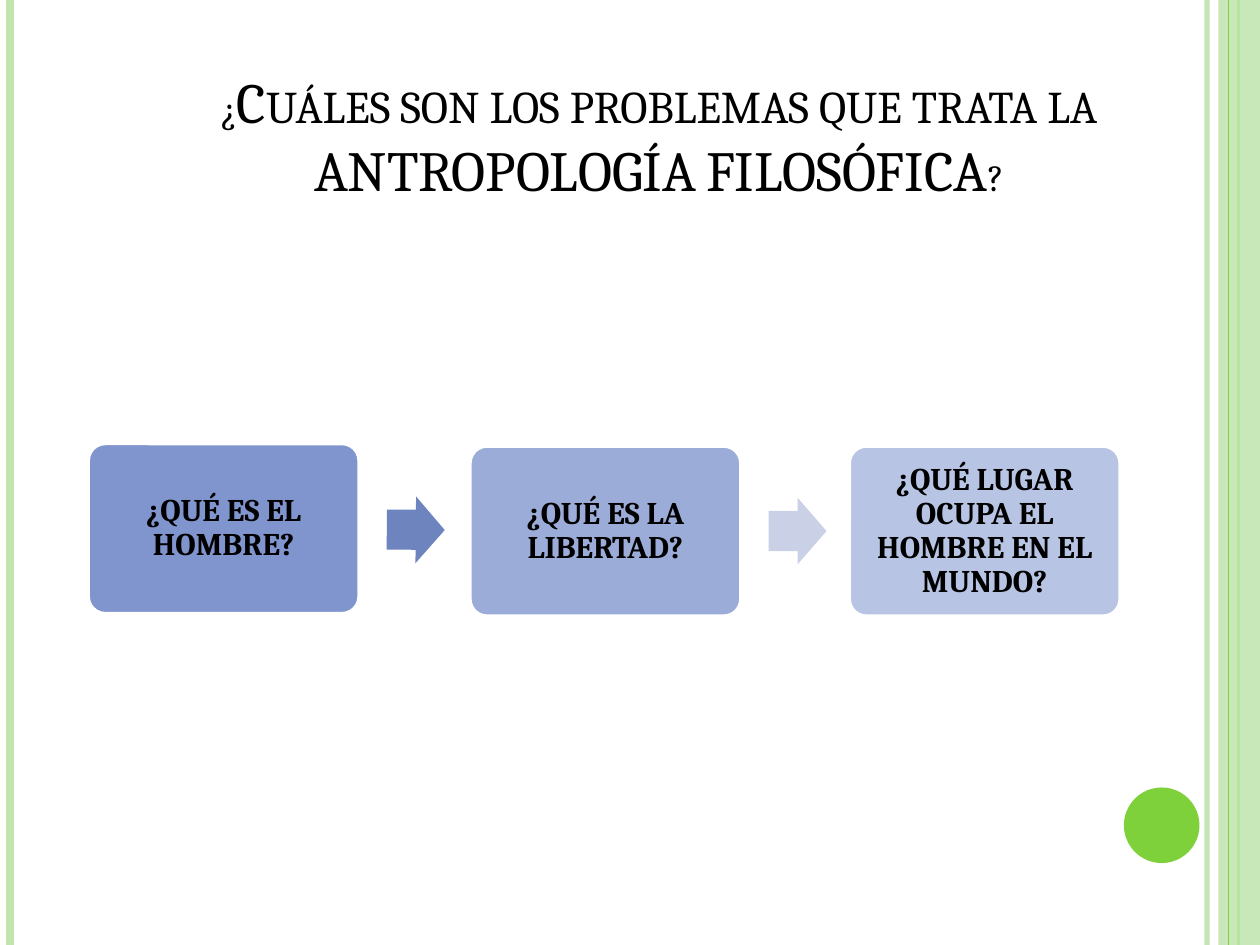
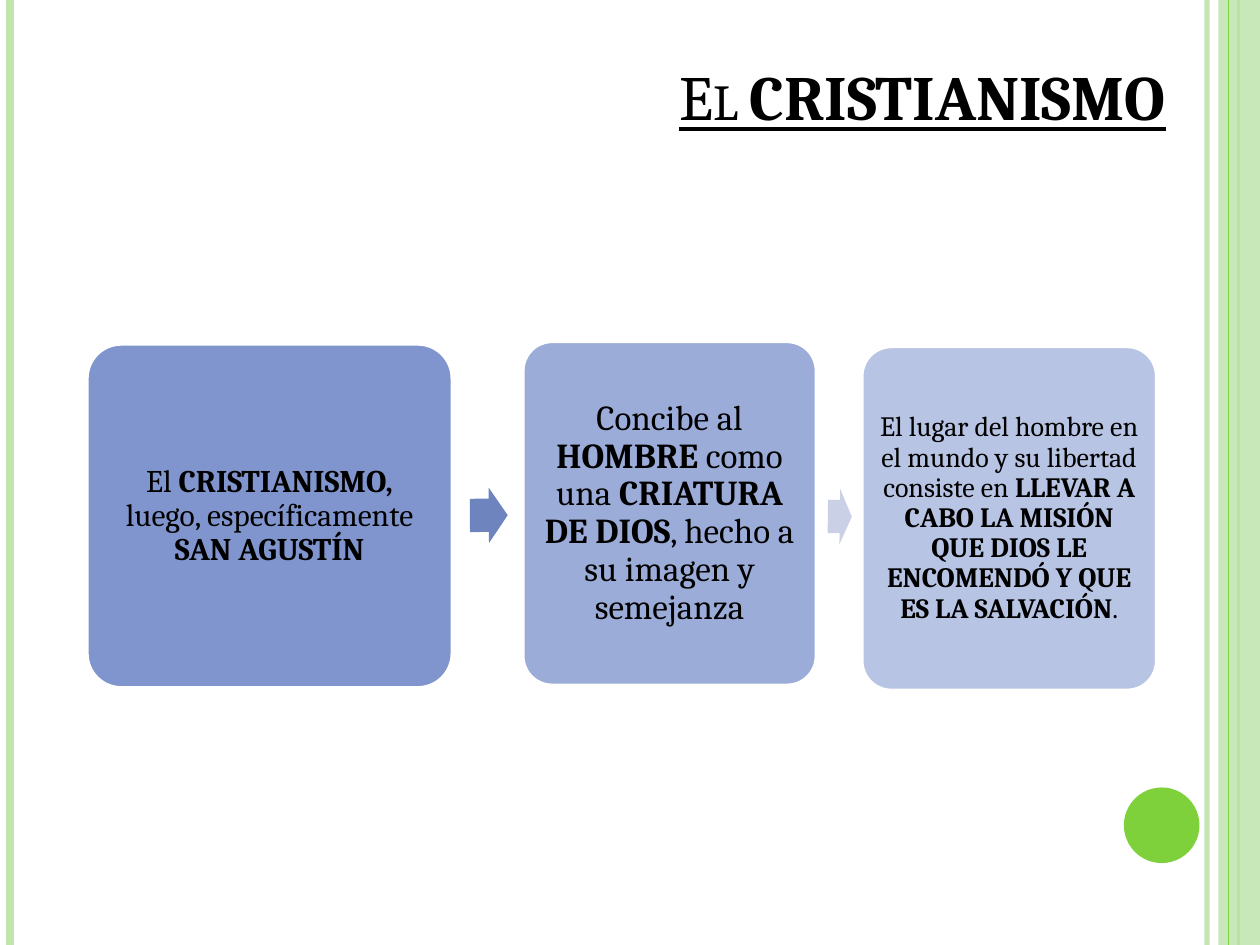
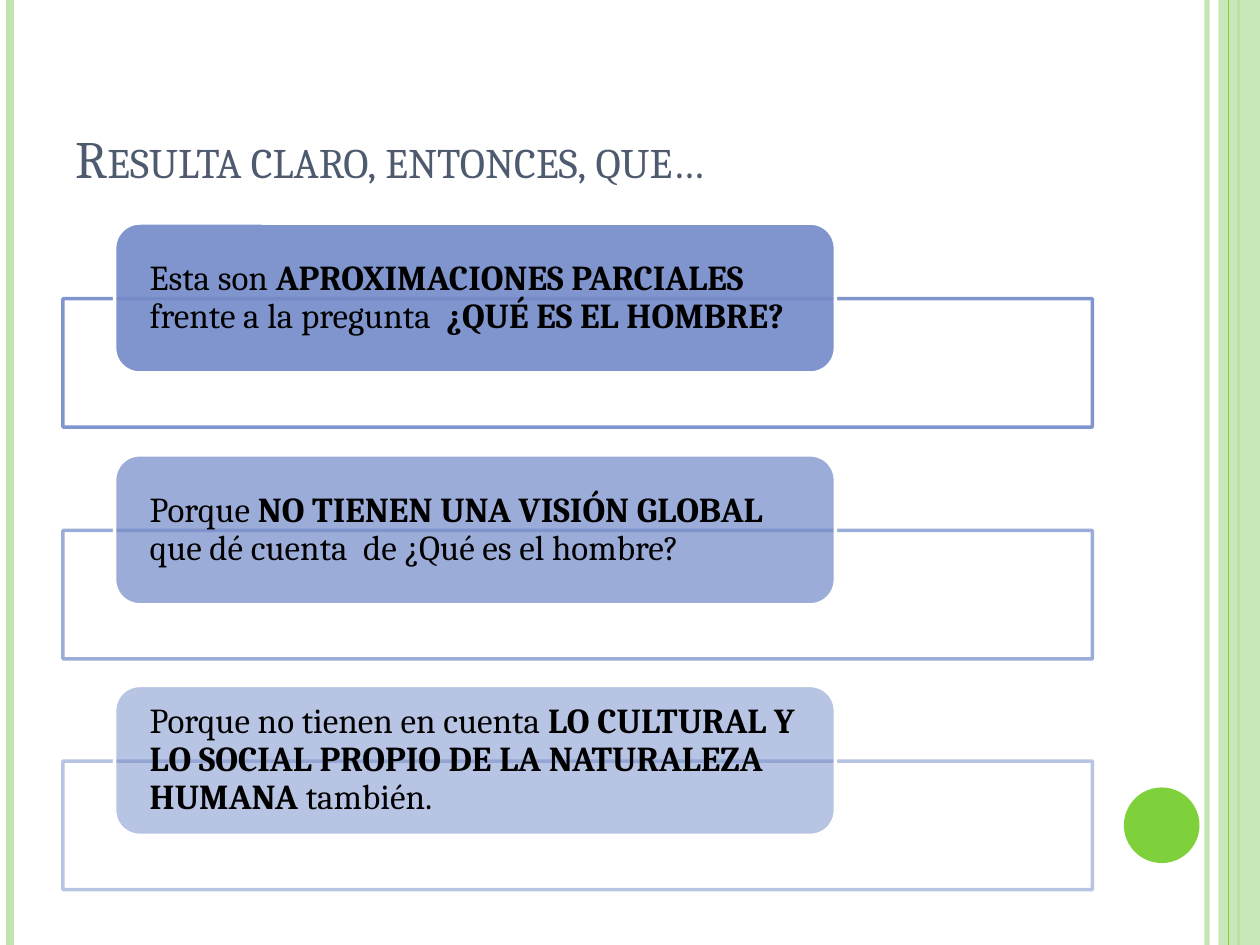
import pptx
import pptx.util
from lxml import etree
from pptx.dml.color import RGBColor
from pptx.enum.shapes import MSO_CONNECTOR, MSO_SHAPE
from pptx.enum.text import MSO_ANCHOR, PP_ALIGN
from pptx.oxml.ns import qn
from pptx.util import Inches

FONT = "Cambria"
COLORS = {
    "white": "FFFFFF", "text": "000000", "heading": "4E5B6F",
    "green": "7FD13B", "pale green": "C0E5AF", "blue": "738AC8",
    "arrow 1": "6E84BF", "arrow 2": "CAD0E6",
}
FADES = (90, 70, 50)  # opacity of the first, second and third step

# x, colour, width in points, opacity
STRIPES_BEHIND = [(9.58, "pale green", 3, 93), (0.08, "pale green", 4.5, 100),
                  (9.83, "green", 1.5, 100)]
STRIPES_FRONT = [(9.75, "green", 0.75, 100)]
BAND = (9.67, 0, 0.33, 7.5)
DISC = (8.92, 6.25, 0.6, 0.6)

# Wording alternates between regular and bold, starting with regular.
FLOWS = [
    {
        "title": [("¿", 27), ("Cuáles son los problemas que trata la "
                              "ANTROPOLOGÍA FILOSÓFICA", 32.4), ("?", 27)],
        "title box": (0.7, 0.47, 9.06, 1.64),
        "steps": [
            ((0.7, 3.52, 2.15, 1.35), 18, 0.07, ["", "¿QUÉ ES EL HOMBRE?"]),
            ((3.73, 3.54, 2.15, 1.35), 18, 0.07, ["", "¿QUÉ ES LA LIBERTAD?"]),
            ((6.74, 3.54, 2.15, 1.35), 18, 0.07,
             ["", "¿QUÉ LUGAR OCUPA EL HOMBRE EN EL MUNDO?"]),
        ],
        "arrows": [((3.07, 3.94, 0.46, 0.53), 0.5), ((6.1, 3.95, 0.46, 0.53), 0)],
    },
    {
        "title": [("El ", 36), ("CRISTIANISMO", 36)],
        "title box": (1.57, 0.62, 8.2, 0.94),
        "emphasis": True,
        "steps": [
            ((0.69, 2.73, 2.9, 2.73), 18, 0.07,
             ["El ", "CRISTIANISMO, ", "luego, específicamente ", "SAN AGUSTÍN"]),
            ((4.15, 2.71, 2.33, 2.73), 20, 0.08,
             ["Concibe al ", "HOMBRE", " como una ", "CRIATURA DE DIOS",
              ", hecho a su imagen y semejanza"]),
            ((6.84, 2.75, 2.34, 2.73), 16, 0.07,
             ["El lugar del hombre en el mundo y su libertad consiste en ",
              "LLEVAR A CABO LA MISIÓN QUE DIOS LE ENCOMENDÓ Y QUE ES LA SALVACIÓN",
              "."]),
        ],
        "arrows": [((3.73, 3.87, 0.3, 0.44), 359.6), ((6.57, 3.88, 0.19, 0.44), 0.7)],
    },
]
FLOW_TITLE_INSETS = (0.1, 0.05, 0.1, 0.5)

CONCLUSION_TITLE = [("Resulta claro, entonces, que…", 30)]
CONCLUSIONS = [
    ["Esta son ", "APROXIMACIONES PARCIALES ", "frente a la pregunta  ",
     "¿QUÉ ES EL HOMBRE?"],
    ["Porque ", "NO TIENEN UNA VISIÓN GLOBAL",
     " que dé cuenta  de ¿Qué es el hombre?"],
    ["Porque no tienen en cuenta ",
     "LO CULTURAL Y LO SOCIAL PROPIO DE LA NATURALEZA HUMANA ", "también."],
]
CONCLUSION_TOPS = (1.77, 3.61, 5.44)
FRAME_DROP = 0.6


def rgb(name):
    return RGBColor.from_string(COLORS[name])


def paint(fill, color, opacity=100):
    fill.solid()
    fill.fore_color.rgb = rgb(color)
    if opacity < 100:
        for node in fill._xPr.find(qn("a:solidFill")):
            etree.SubElement(node, qn("a:alpha"), val=str(opacity * 1000))


def add_figure(slide, preset, box, color, opacity=100, outline=None,
               outline_opacity=100, adjustments=()):
    figure = slide.shapes.add_shape(preset, *map(Inches, box))
    figure.shadow.inherit = False
    paint(figure.fill, color, opacity)
    if outline:
        figure.line.width = pptx.util.Pt(2)
        paint(figure.line.fill, outline, outline_opacity)
    else:
        figure.line.fill.background()
    for index, value in enumerate(adjustments):
        figure.adjustments[index] = value
    return figure


def set_frame(frame, insets, anchor):
    frame.word_wrap = True
    frame.vertical_anchor = anchor
    (frame.margin_left, frame.margin_top,
     frame.margin_right, frame.margin_bottom) = map(Inches, insets)


def add_run(paragraph, wording, size, color="text", bold=False):
    run = paragraph.add_run()
    run.text = wording
    run.font.name = FONT
    run.font.size = pptx.util.Pt(size)
    run.font.bold = bold
    run.font.color.rgb = rgb(color)
    return run


def add_title(slide, parts, box, insets=(0.1, 0.05, 0.1, 0.05),
              align=PP_ALIGN.CENTER, color="text", emphasis=False):
    """Small-caps title; emphasis underlines it and makes its last part bold."""
    frame = slide.shapes.add_textbox(*map(Inches, box)).text_frame
    set_frame(frame, insets, MSO_ANCHOR.BOTTOM)
    paragraph = frame.paragraphs[0]
    paragraph.alignment = align
    for index, (wording, size) in enumerate(parts):
        bold = emphasis and index == len(parts) - 1
        run = add_run(paragraph, wording, size, color, bold)
        run.font.underline = emphasis
        run.font._element.set("cap", "small")


def add_step(slide, box, parts, size, insets, opacity, align, adjustments=()):
    step = add_figure(slide, MSO_SHAPE.ROUNDED_RECTANGLE, box, "blue", opacity,
                      "white", adjustments=adjustments)
    set_frame(step.text_frame, insets, MSO_ANCHOR.MIDDLE)
    paragraph = step.text_frame.paragraphs[0]
    paragraph.alignment = align
    paragraph.line_spacing = 0.9
    for index, wording in enumerate(parts):
        if wording:
            add_run(paragraph, wording, size, bold=index % 2 == 1)


def add_stripes(slide, stripes):
    for x, color, width, opacity in stripes:
        stripe = slide.shapes.add_connector(
            MSO_CONNECTOR.STRAIGHT, Inches(x), 0, Inches(x), Inches(7.5))
        stripe.line.width = pptx.util.Pt(width)
        paint(stripe.line.fill, color, opacity)
        etree.SubElement(stripe._element.spPr, qn("a:effectLst"))


def add_base_slide(deck):
    slide = deck.slides.add_slide(deck.slide_layouts[6])
    add_stripes(slide, STRIPES_BEHIND)
    add_figure(slide, MSO_SHAPE.RECTANGLE, BAND, "pale green", 87)
    add_stripes(slide, STRIPES_FRONT)
    add_figure(slide, MSO_SHAPE.OVAL, DISC, "green")
    return slide


def add_flow_slide(deck, flow):
    slide = add_base_slide(deck)
    add_title(slide, flow["title"], flow["title box"], FLOW_TITLE_INSETS,
              emphasis=flow.get("emphasis", False))
    for (box, size, inset, parts), opacity in zip(flow["steps"], FADES):
        add_step(slide, box, parts, size, [inset] * 4, opacity,
                 PP_ALIGN.CENTER, (0.1,))
    for number, (box, angle) in enumerate(flow["arrows"], 1):
        arrow = add_figure(slide, MSO_SHAPE.RIGHT_ARROW, box, f"arrow {number}",
                           adjustments=(0.6, 0.5))
        arrow.rotation = angle


def add_conclusion_slide(deck):
    slide = add_base_slide(deck)
    add_title(slide, CONCLUSION_TITLE, (0.5, 0.3, 8.17, 1.25),
              align=PP_ALIGN.LEFT, color="heading")
    for top, parts, opacity in zip(CONCLUSION_TOPS, CONCLUSIONS, FADES):
        add_figure(slide, MSO_SHAPE.RECTANGLE, (0.5, top + FRAME_DROP, 8.17, 1.02),
                   "white", 90, "blue", opacity)
        add_step(slide, (0.91, top, 5.72, 1.19), parts, 20, (0.22, 0, 0.22, 0),
                 opacity, PP_ALIGN.LEFT)


def main():
    deck = pptx.Presentation()
    deck.slide_width, deck.slide_height = Inches(10), Inches(7.5)
    for flow in FLOWS:
        add_flow_slide(deck, flow)
    add_conclusion_slide(deck)
    deck.save("out.pptx")


if __name__ == "__main__":
    main()
